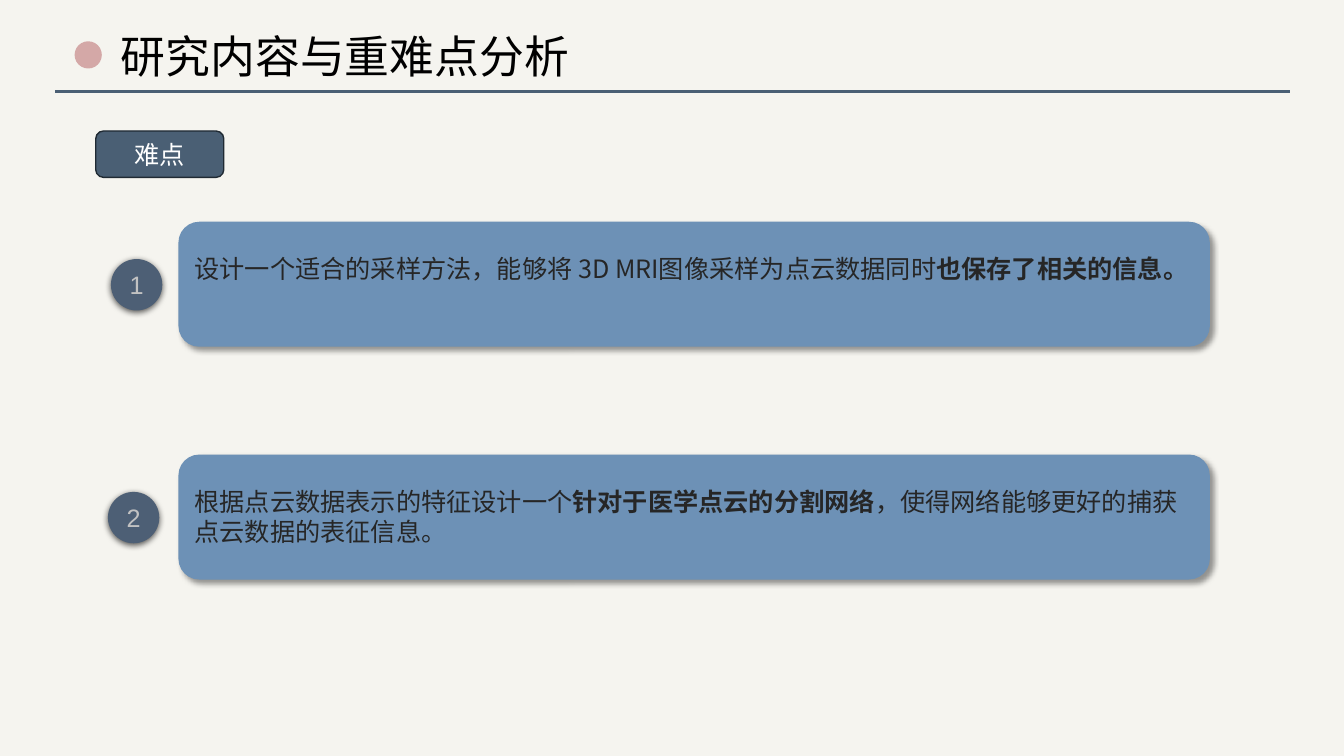
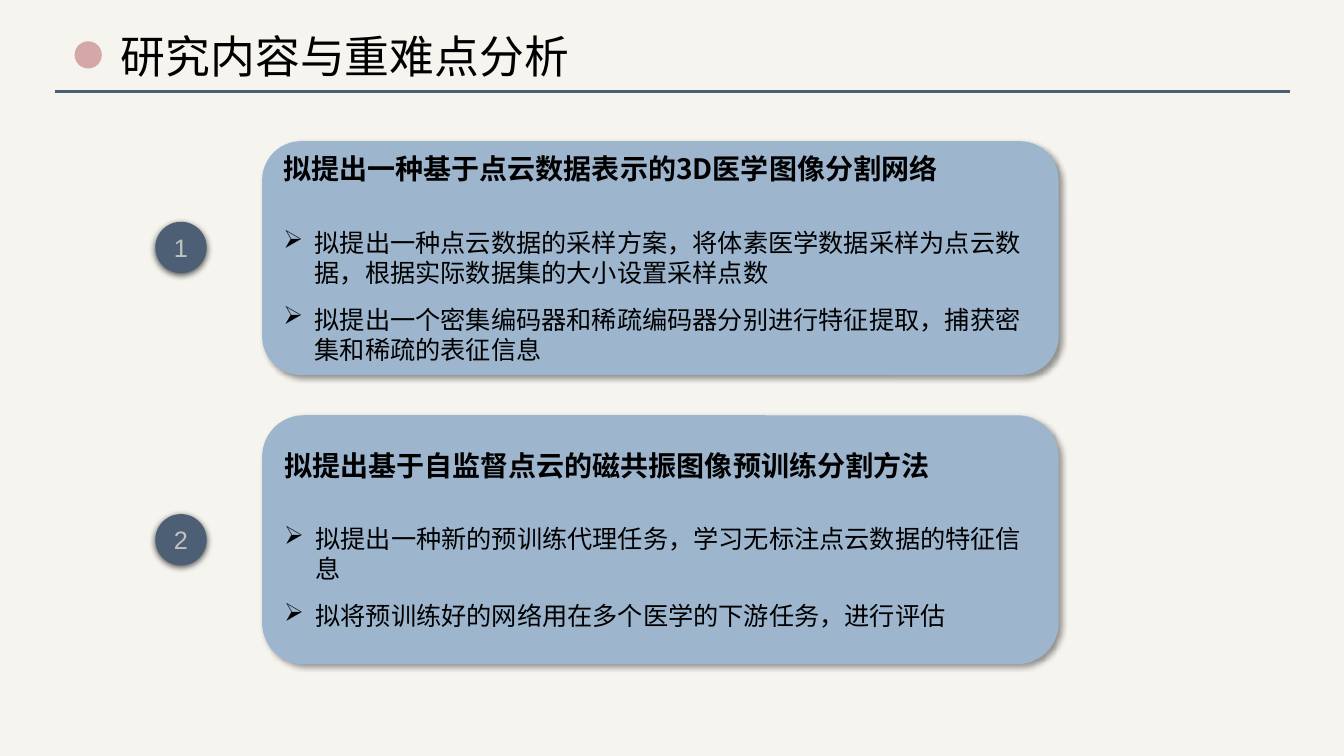
from lxml import etree
from pptx import Presentation
from pptx.dml.color import RGBColor
from pptx.enum.shapes import MSO_CONNECTOR, MSO_SHAPE
from pptx.enum.text import MSO_ANCHOR, PP_ALIGN
from pptx.oxml.ns import qn
from pptx.util import Emu, Inches, Pt

BACKGROUND = "F5F4EF"
SLATE = "4A5F74"
SLATE_EDGE = "202A33"
BADGE = "4D5F75"
BADGE_TEXT = "C2C2C2"
ROSE = "D4A8A7"
BLUE = "6D91B6"
PALE_BLUE = "9DB6CE"
DARK = "262626"
BLACK = "000000"
WHITE = "FFFFFF"

SANS = "Noto Sans CJK SC"
TITLE = "研究内容与重难点分析"
LINE_HEIGHT = 1.19

# Shadows: opacity in percent, blur and distance in points, angle in degrees
CARD_SHADOW = (40, 4, 3, 45)
BADGE_SHADOW = (63, 4.5, 1.5, 90)


def rgb(value):
    return RGBColor.from_string(value)


def add_effects(shape, shadow=None):
    """Give the shape its own effect list, empty unless a shadow is given."""
    effects = etree.SubElement(shape._element.spPr, qn("a:effectLst"))
    if shadow:
        opacity, blur, distance, angle = shadow
        outer = etree.SubElement(
            effects, qn("a:outerShdw"), blurRad=str(Pt(blur)), dist=str(Pt(distance)),
            dir=str(angle * 60000), algn="ctr", rotWithShape="0")
        color = etree.SubElement(outer, qn("a:srgbClr"), val=BLACK)
        etree.SubElement(color, qn("a:alpha"), val=str(opacity * 1000))


def set_font(para, size, color, name=SANS, bold=False):
    font = para.font
    font.size = Pt(size)
    font.bold = bold
    font.color.rgb = rgb(color)
    font.name = name
    etree.SubElement(font._rPr, qn("a:ea"), typeface=SANS)


def set_bullet(para, character, indent):
    properties = para._p.get_or_add_pPr()
    properties.set("marL", str(Inches(indent)))
    properties.set("indent", str(-Inches(indent)))
    etree.SubElement(properties, qn("a:buChar"), char=character)


def add_block(page, kind, left, top, width, height, fill, line=None, shadow=None):
    block = page.shapes.add_shape(
        kind, Inches(left), Inches(top), Inches(width), Inches(height))
    block.fill.solid()
    block.fill.fore_color.rgb = rgb(fill)
    if line:
        block.line.color.rgb = rgb(line)
        block.line.width = Pt(1)
    else:
        block.line.fill.background()
    add_effects(block, shadow)
    block.text_frame.word_wrap = True
    block.text_frame.vertical_anchor = MSO_ANCHOR.MIDDLE
    return block


def add_centred_text(block, text, color, name=SANS):
    para = block.text_frame.paragraphs[0]
    para.text = text
    para.alignment = PP_ALIGN.CENTER
    set_font(para, 18, color, name)


def add_badge(page, left, top, number):
    badge = add_block(page, MSO_SHAPE.OVAL, left, top, 0.51, 0.51, BADGE,
                      shadow=BADGE_SHADOW)
    badge.text_frame.margin_left = badge.text_frame.margin_right = Emu(0)
    add_centred_text(badge, str(number), BADGE_TEXT, "Arial")


def add_difficulty(page, top, spans):
    """Add a card holding one statement of (text, bold) spans."""
    card = add_block(page, MSO_SHAPE.ROUNDED_RECTANGLE, 1.77, top, 10.23, 1.24, BLUE,
                     shadow=CARD_SHADOW)
    frame = card.text_frame
    frame.vertical_anchor = MSO_ANCHOR.TOP
    frame.margin_top = Inches(0.26)
    para = frame.paragraphs[0]
    para.alignment = PP_ALIGN.LEFT
    para.line_spacing = Pt(18 * LINE_HEIGHT)
    set_font(para, 18, DARK)
    for text, bold in spans:
        span = para.add_run()
        span.text = text
        span.font.bold = bold


def add_proposal(page, top, height, heading, points):
    card = add_block(page, MSO_SHAPE.ROUNDED_RECTANGLE, 2.6, top, 7.9, height, PALE_BLUE,
                     shadow=CARD_SHADOW)
    para = card.text_frame.paragraphs[0]
    para.text = heading
    para.alignment = PP_ALIGN.LEFT
    para.line_spacing = Pt(20 * LINE_HEIGHT)
    para.space_after = Pt(24)
    set_font(para, 20, BLACK, bold=True)
    for point in points:
        para = card.text_frame.add_paragraph()
        para.text = point
        para.alignment = PP_ALIGN.LEFT
        para.line_spacing = Pt(18 * LINE_HEIGHT)
        para.space_before = para.space_after = Pt(6)
        set_bullet(para, "➢", 0.31)
        set_font(para, 18, BLACK)


def add_page(deck):
    """Add a slide with the shared title, dot and rule."""
    page = deck.slides.add_slide(deck.slide_layouts[6])
    page.background.fill.solid()
    page.background.fill.fore_color.rgb = rgb(BACKGROUND)

    rule = page.shapes.add_connector(
        MSO_CONNECTOR.STRAIGHT, Inches(0.55), Inches(0.91), Inches(12.79), Inches(0.91))
    rule.line.color.rgb = rgb(SLATE)
    rule.line.width = Pt(2)
    add_effects(rule)
    add_block(page, MSO_SHAPE.OVAL, 0.74, 0.41, 0.27, 0.27, ROSE)

    box = page.shapes.add_textbox(Inches(1.1), Inches(0.23), Inches(4.68), Inches(0.64))
    box.text_frame.word_wrap = True
    box.text_frame.vertical_anchor = MSO_ANCHOR.MIDDLE
    para = box.text_frame.paragraphs[0]
    para.text = TITLE
    set_font(para, 32, BLACK, "Times New Roman")
    return page


def build_difficulties(deck):
    page = add_page(deck)
    label = add_block(page, MSO_SHAPE.ROUNDED_RECTANGLE, 0.95, 1.3, 1.27, 0.46, SLATE,
                      line=SLATE_EDGE)
    add_centred_text(label, "难点", WHITE)
    add_difficulty(page, 2.2, [
        ("设计一个适合的采样方法，能够将 3D MRI图像采样为点云数据同时", False),
        ("也保存了相关的信息。", True)])
    add_difficulty(page, 4.51, [
        ("根据点云数据表示的特征设计一个", False),
        ("针对于医学点云的分割网络", True),
        ("，使得网络能够更好的捕获点云数据的表征信息。", False)])
    add_badge(page, 1.1, 2.57, 1)
    add_badge(page, 1.07, 4.88, 2)


def build_proposals(deck):
    page = add_page(deck)
    add_proposal(page, 1.4, 2.32, "拟提出一种基于点云数据表示的3D医学图像分割网络", [
        "拟提出一种点云数据的采样方案，将体素医学数据采样为点云数据，根据实际数据集的大小设置采样点数",
        "拟提出一个密集编码器和稀疏编码器分别进行特征提取，捕获密集和稀疏的表征信息"])
    add_proposal(page, 4.12, 2.47, "拟提出基于自监督点云的磁共振图像预训练分割方法", [
        "拟提出一种新的预训练代理任务，学习无标注点云数据的特征信息",
        "拟将预训练好的网络用在多个医学的下游任务，进行评估"])
    add_badge(page, 1.54, 2.2, 1)
    add_badge(page, 1.54, 5.1, 2)


def main():
    deck = Presentation()
    deck.slide_width = Inches(13.33)
    deck.slide_height = Inches(7.5)
    build_difficulties(deck)
    build_proposals(deck)
    deck.save("out.pptx")


if __name__ == "__main__":
    main()
